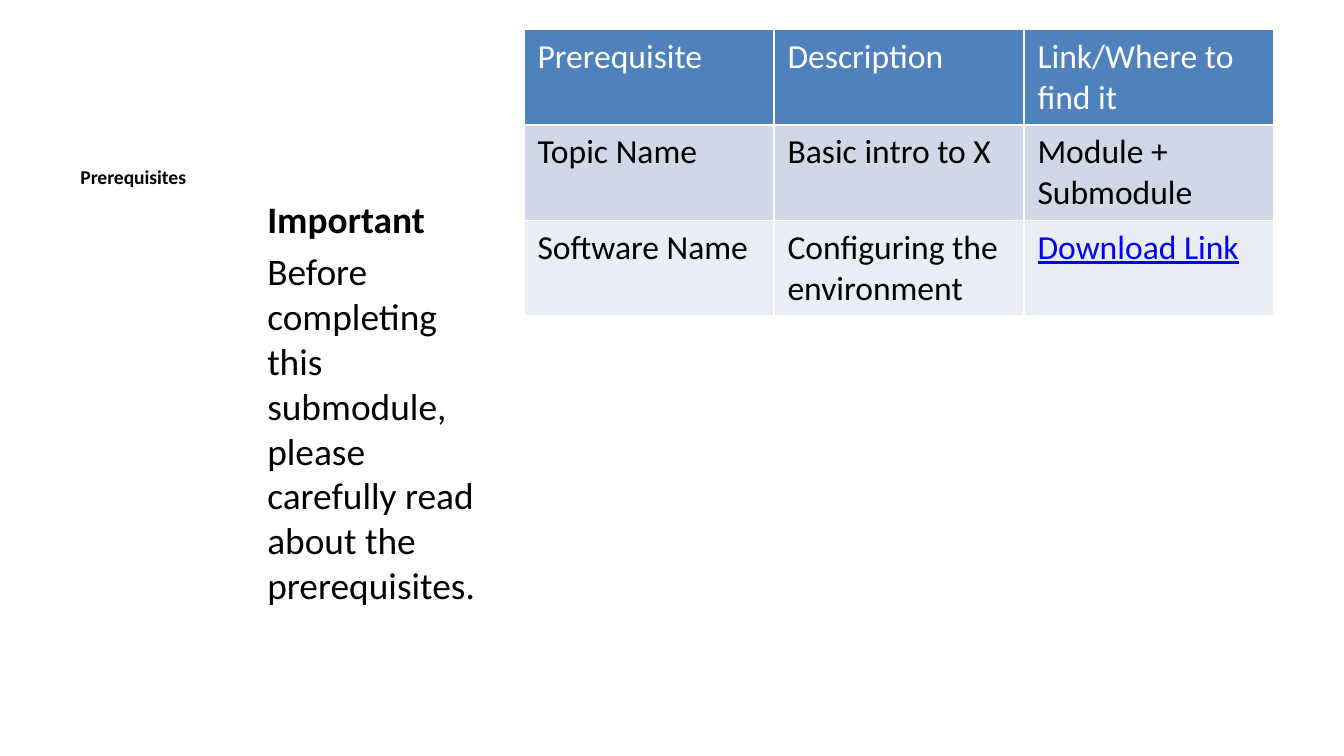
from lxml.etree import SubElement
from pptx import Presentation
from pptx.dml.color import RGBColor
from pptx.enum.text import MSO_ANCHOR
from pptx.oxml.ns import qn
from pptx.util import Inches, Pt

COLORS = {
    "text": "000000",
    "white": "FFFFFF",
    "header": "4F81BD",
    "odd": "D0D8E8",
    "even": "E9EDF4",
    "link": "0000FF",
}


class PrerequisitesSlide:
    """Holds the style and the current slide, and adds its elements."""

    font = "Calibri"
    border_width = Pt(1)

    def __init__(self, presentation):
        self.slide = presentation.slides.add_slide(presentation.slide_layouts[6])

    def color(self, name):
        return RGBColor.from_string(COLORS[name])

    def run(self, paragraph, text, size, color="text", bold=False, underline=False):
        run = paragraph.add_run()
        run.text = text
        run.font.name = self.font
        run.font.size = Pt(size)
        run.font.bold = bold
        run.font.underline = underline
        run.font.color.rgb = self.color(color)

    def text(self, left, top, width, height, lines):
        shape = self.slide.shapes.add_textbox(
            Inches(left), Inches(top), Inches(width), Inches(height)
        )
        frame = shape.text_frame
        frame.word_wrap = True
        for index, (text, size, bold, indent, space) in enumerate(lines):
            paragraph = frame.add_paragraph() if index else frame.paragraphs[0]
            paragraph.space_before = Pt(space)
            paragraph._p.get_or_add_pPr().set("marL", str(Inches(indent)))
            self.run(paragraph, text, size, bold=bold)

    def borders(self, cell):
        properties = cell._tc.get_or_add_tcPr()
        for index, side in enumerate(("lnL", "lnR", "lnT", "lnB")):
            line = properties.makeelement(qn(f"a:{side}"), {"w": str(self.border_width)})
            properties.insert(index, line)
            fill = SubElement(line, qn("a:solidFill"))
            SubElement(fill, qn("a:srgbClr"), val=COLORS["white"])

    def table(self, left, top, column_width, row_height, rows):
        row_count, column_count = len(rows), len(rows[0])
        table = self.slide.shapes.add_table(
            row_count,
            column_count,
            Inches(left),
            Inches(top),
            Inches(column_width * column_count),
            Inches(row_height * row_count),
        ).table
        fills = ("header", "odd", "even")
        for row_index, (row, fill) in enumerate(zip(rows, fills)):
            for column_index, text in enumerate(row):
                cell = table.cell(row_index, column_index)
                cell.fill.solid()
                cell.fill.fore_color.rgb = self.color(fill)
                cell.vertical_anchor = MSO_ANCHOR.TOP
                is_link = text == "Download Link"
                color = "link" if is_link else "white" if row_index == 0 else "text"
                paragraph = cell.text_frame.paragraphs[0]
                self.run(paragraph, text, 18, color, underline=is_link)
                self.borders(cell)


def main():
    presentation = Presentation()
    presentation.slide_width = Inches(10)
    presentation.slide_height = Inches(10 * 9 / 16)
    slide = PrerequisitesSlide(presentation)
    message = (
        "Before completing this submodule, please carefully read "
        "about the prerequisites."
    )
    slide.text(0.5, 1.18, 3.29, 3.85, [
        ("Prerequisites", 10.5, True, 0, 30),
        ("Important", 20, True, 1.39, 4),
        (message, 20, False, 1.39, 4),
    ])
    slide.table(3.9, 0.22, 1.86, 0.71, [
        ("Prerequisite", "Description", "Link/Where to find it"),
        ("Topic Name", "Basic intro to X", "Module + Submodule"),
        ("Software Name", "Configuring the environment", "Download Link"),
    ])
    presentation.save("out.pptx")


if __name__ == "__main__":
    main()
